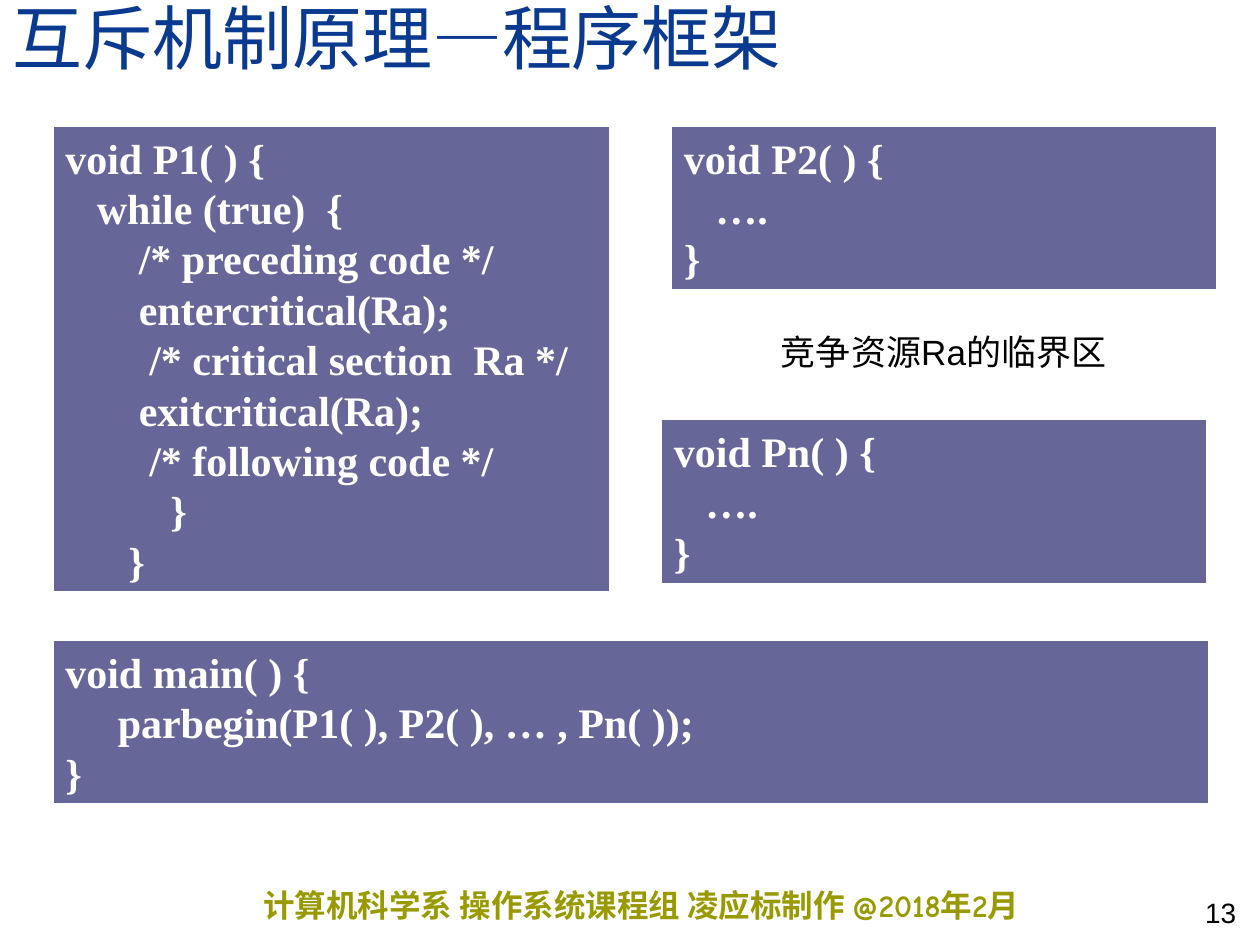
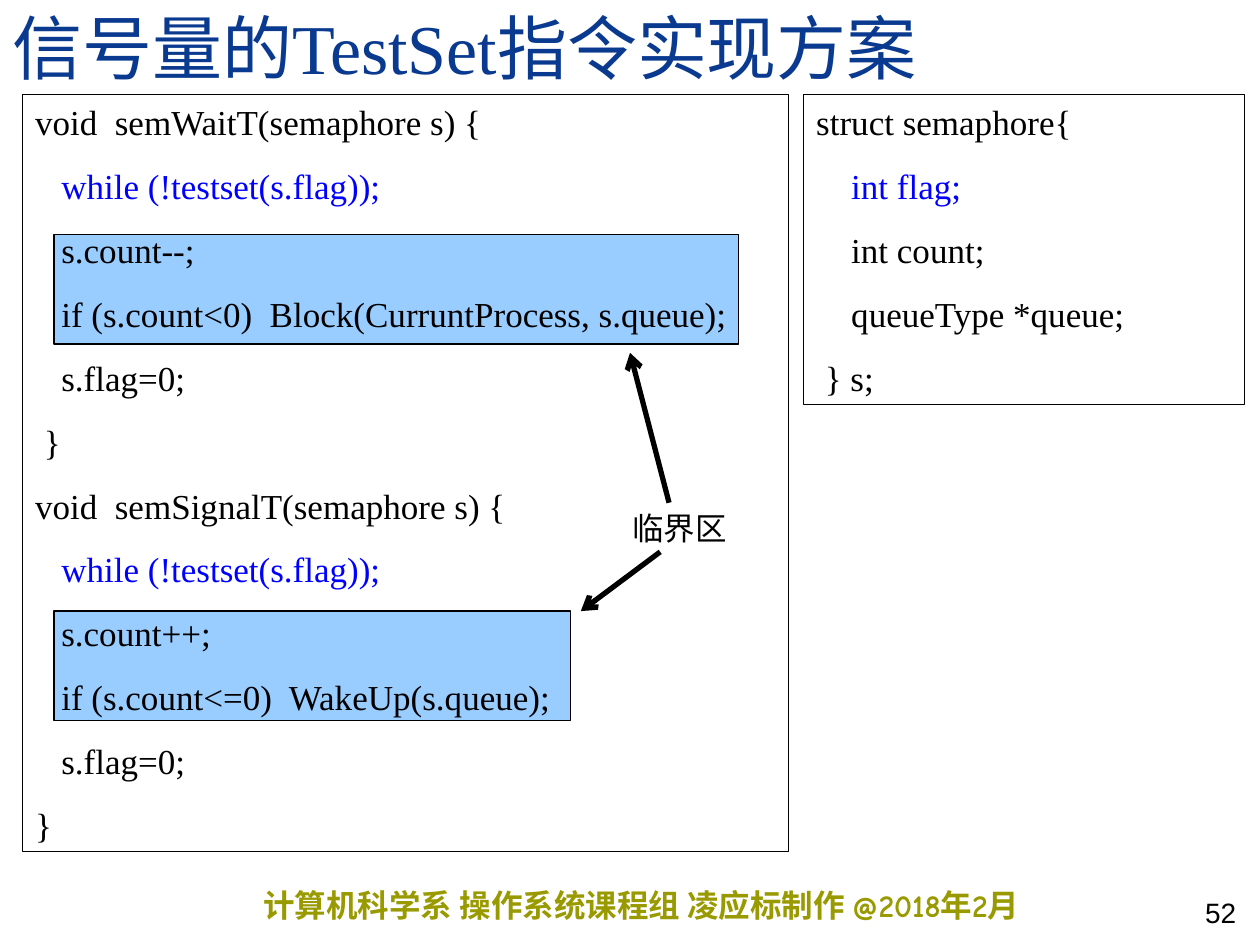
import dataclasses

import pptx
import pptx.dml.color
import pptx.enum.shapes
import pptx.enum.text
import pptx.oxml
import pptx.oxml.ns
import pptx.util
from pptx.util import Inches

Align = pptx.enum.text.PP_ALIGN
Anchor = pptx.enum.text.MSO_ANCHOR


@dataclasses.dataclass(frozen=True)
class Theme:
    navy: str = "0A3A90"
    slate: str = "666699"
    sky: str = "99CCFF"
    blue: str = "0000FF"
    olive: str = "999900"
    black: str = "000000"
    white: str = "FFFFFF"
    serif: str = "Times New Roman"
    sans: str = "Arial"
    comic: str = "Comic Neue"
    head: int = 40
    code: int = 24
    body: int = 20
    note: int = 18
    page: int = 16
    thin: float = 0.75
    thick: float = 3


FOOTER = "计算机科学系 操作系统课程组 凌应标制作 @2018年2月"

LOOP = """void P1( ) {
   while (true)  {
       /* preceding code */
       entercritical(Ra);
        /* critical section  Ra */
       exitcritical(Ra);
        /* following code */
          }
      }"""

STUB = """void {}( ) {{
   ….
}}"""

MAIN = """void main( ) {
     parbegin(P1( ), P2( ), … , Pn( ));
}"""

STRUCT = """struct semaphore{
    int flag;
    int count;
    queueType *queue;
 } s;"""

CALLS = """void  semWaitT(semaphore s) {
   while (!testset(s.flag));
   s.count--;
   if (s.count<0)  Block(CurruntProcess, s.queue);
   s.flag=0;
 }
void  semSignalT(semaphore s) {
   while (!testset(s.flag));
   s.count++;
   if (s.count<=0)  WakeUp(s.queue);
   s.flag=0;
}"""

LOCKS = ("int flag;", "while (!testset(s.flag));")


def rgb(tint):
    return pptx.dml.color.RGBColor.from_string(tint)


def write(frame, text, *, size, font, color, bold=False, align=Align.LEFT,
          anchor=Anchor.TOP, before=0, pitch=None, wrap=True, side=0.1,
          marks=(), mark=None):
    frame.word_wrap = wrap
    frame.auto_size = pptx.enum.text.MSO_AUTO_SIZE.NONE
    frame.vertical_anchor = anchor
    frame.margin_left = frame.margin_right = Inches(side)
    frame.margin_top = frame.margin_bottom = Inches(0.05)
    for i, line in enumerate(text.split("\n")):
        para = frame.add_paragraph() if i else frame.paragraphs[0]
        words = line.lstrip()
        depth = len(line) - len(words)
        if depth:
            props = para._p.get_or_add_pPr()
            props.set("marL", str(pptx.util.Pt(depth * size / 4)))
            props.set("indent", "0")
        para.alignment = align
        para.space_before = pptx.util.Pt(before)
        if pitch:
            para.line_spacing = pitch
        run = para.add_run()
        run.text = words
        run.font.size = pptx.util.Pt(size)
        run.font.name = font
        run.font.bold = bold
        run.font.color.rgb = rgb(mark if words in marks else color)


class Deck:
    def __init__(self, theme):
        self.theme = theme
        self.file = pptx.Presentation()
        self.file.slide_width = Inches(10)
        self.file.slide_height = Inches(7.5)
        self.slide = None

    def start(self, title, page, width, height):
        t = self.theme
        self.slide = self.file.slides.add_slide(self.file.slide_layouts[5])
        head = self.slide.shapes.title
        head.left = head.top = 0
        head.width, head.height = Inches(width), Inches(height)
        write(head.text_frame, title, size=t.head, font=t.serif,
              color=t.navy, anchor=Anchor.BOTTOM, pitch=0.8)
        self.text((2.09, 6.98, 7.32, 0.4), FOOTER, size=t.note, font=t.comic,
                  color=t.olive, bold=True, side=0)
        self.text((8.33, 6.92, 1.58, 0.5), str(page), size=t.page,
                  align=Align.RIGHT, anchor=Anchor.BOTTOM)

    def text(self, area, words, **style):
        box = self.slide.shapes.add_textbox(*map(Inches, area))
        base = {"font": self.theme.sans, "color": self.theme.black}
        write(box.text_frame, words, **{**base, **style})

    def rect(self, area, fill=None, line=None):
        kind = pptx.enum.shapes.MSO_SHAPE.RECTANGLE
        box = self.slide.shapes.add_shape(kind, *map(Inches, area))
        box.shadow.inherit = False
        if fill:
            box.fill.solid()
            box.fill.fore_color.rgb = rgb(fill)
        else:
            box.fill.background()
        box.line.color.rgb = rgb(line or self.theme.black)
        box.line.width = pptx.util.Pt(self.theme.thin)
        return box

    def block(self, area, code):
        t = self.theme
        box = self.rect(area, t.slate, t.white)
        write(box.text_frame, code, size=t.code, font=t.serif,
              color=t.white, bold=True)

    def panel(self, area, code):
        t = self.theme
        box = self.rect(area)
        write(box.text_frame, code, size=t.body, font=t.serif,
              color=t.black, before=12.5, marks=LOCKS, mark=t.blue)

    def arrow(self, start, end):
        kind = pptx.enum.shapes.MSO_CONNECTOR.STRAIGHT
        link = self.slide.shapes.add_connector(kind, *map(Inches, start + end))
        link.line.color.rgb = rgb(self.theme.black)
        link.line.width = pptx.util.Pt(self.theme.thick)
        space = pptx.oxml.ns.nsdecls("a")
        tip = pptx.oxml.parse_xml(f'<a:tailEnd {space} type="arrow"/>')
        link.line._get_or_add_ln().append(tip)
        flat = pptx.oxml.parse_xml(f"<a:effectLst {space}/>")
        link._element.spPr.append(flat)


def frame_slide(deck):
    deck.start("互斥机制原理—程序框架", 13, 8.83, 0.67)
    deck.block((0.42, 1, 4.42, 3.7), LOOP)
    deck.block((5.33, 1, 4.33, 1.3), STUB.format("P2"))
    deck.block((0.42, 5.08, 9.17, 1.3), MAIN)
    deck.block((5.25, 3.33, 4.33, 1.3), STUB.format("Pn"))
    deck.text((6.1, 2.57, 2.84, 0.77), "竞争资源Ra的临界区",
              size=deck.theme.body, before=12.5)


def lock_slide(deck):
    deck.start("信号量的TestSet指令实现方案", 52, 10, 0.75)
    for top, width in ((4.85, 4.1), (1.86, 5.43)):
        deck.rect((0.43, top, width, 0.87), deck.theme.sky)
    deck.panel((6.38, 0.75, 3.5, 2.46), STRUCT)
    deck.panel((0.18, 0.75, 6.08, 6.01), CALLS)
    deck.text((4.92, 3.99, 0.95, 0.4), "临界区", size=deck.theme.note,
              before=11.2, wrap=False)
    deck.arrow((5.31, 3.99), (5, 2.8))
    deck.arrow((5.24, 4.38), (4.61, 4.85))


def main():
    deck = Deck(Theme())
    frame_slide(deck)
    lock_slide(deck)
    deck.file.save("out.pptx")


if __name__ == "__main__":
    main()
